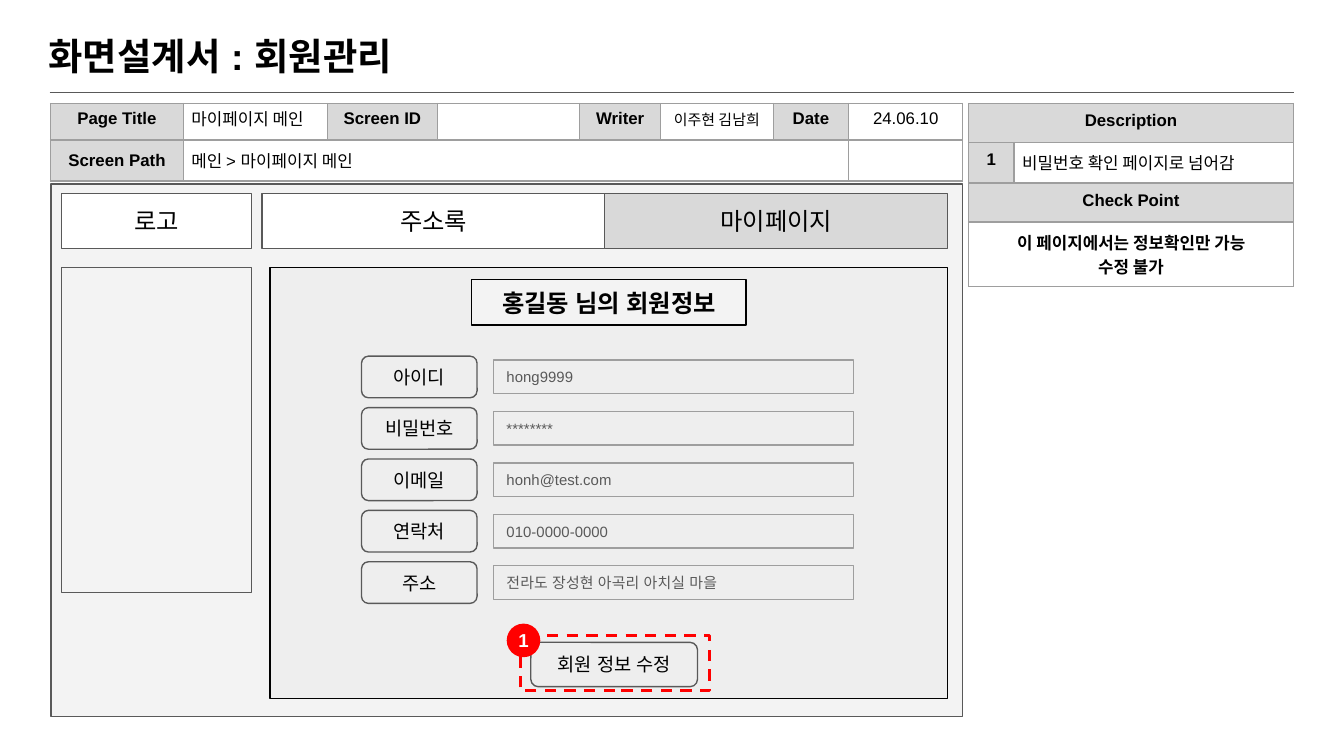
import pptx
import pptx.dml.color
import pptx.enum.dml
import pptx.enum.shapes
import pptx.enum.text
import pptx.oxml
import pptx.oxml.ns
import pptx.util

SHAPES = pptx.enum.shapes.MSO_SHAPE
ALIGN = pptx.enum.text.PP_ALIGN
ANCHOR = pptx.enum.text.MSO_ANCHOR
FONT = "Arial"
BLACK, WHITE, RED = "000000", "FFFFFF", "FF0000"
DARK, EDGE, HEAD = "595959", "9E9E9E", "D9D9D9"
PALE, PANEL = "F3F3F3", "EEEEEE"

# The slide is a grid of square cells, 100 columns by 56.25 rows
CELL = 0.1
COLUMNS, ROWS = 100, 56.25


def grid(*counts):
    return [pptx.util.Inches(count * CELL) for count in counts]


def colour(value):
    return pptx.dml.color.RGBColor.from_string(value)


def apply(target, values):
    for name, value in values.items():
        setattr(target, name, value)


def add_child(parent, tag, **attributes):
    child = pptx.oxml.parse_xml(f"<a:{tag} {pptx.oxml.ns.nsdecls('a')}/>")
    for name, value in attributes.items():
        child.set(name, str(value))
    parent.append(child)
    return child


def set_insets(target, across, down):
    apply(target, dict(zip(
        ("margin_left", "margin_right", "margin_top", "margin_bottom"),
        grid(across, across, down, down))))


def write(para, text, size, ink=BLACK, bold=False, asian=True, **form):
    apply(para, form)
    span = para.add_run()
    span.text = text
    apply(span.font, {"size": pptx.util.Pt(size), "bold": bold, "name": FONT})
    span.font.color.rgb = colour(ink)
    if asian:
        add_child(span._r.get_or_add_rPr(), "ea", typeface=FONT)


def add_title(page):
    title = page.shapes.title
    apply(title, dict(zip(("left", "top", "width", "height"),
                          grid(2.6, 1.5, 93.2, 6.3))))
    frame = title.text_frame
    apply(frame, {"vertical_anchor": ANCHOR.TOP, "word_wrap": True,
                  "auto_size": pptx.enum.text.MSO_AUTO_SIZE.NONE})
    set_insets(frame, 1, 1)
    write(frame.paragraphs[0], "화면설계서 : 회원관리", 20, bold=True,
          alignment=ALIGN.LEFT)


def add_rule(page):
    rule = page.shapes.add_connector(
        pptx.enum.shapes.MSO_CONNECTOR.STRAIGHT, *grid(3.7, 6.9, 96.3, 6.9))
    rule.line.color.rgb = colour(DARK)
    rule.line.width = pptx.util.Pt(0.75)
    add_child(rule._element.spPr, "effectLst")


def add_box(page, area, kind=SHAPES.RECTANGLE, fill=None, line=DARK, width=0.75,
            text=None, size=10, insets=(1, 1), dash=None, ink=BLACK, bold=False,
            **form):
    box = page.shapes.add_shape(kind, *grid(*area))
    box.shadow.inherit = False
    if fill:
        box.fill.solid()
        box.fill.fore_color.rgb = colour(fill)
    else:
        box.fill.background()
    if line:
        box.line.color.rgb = colour(line)
        apply(box.line, {"width": pptx.util.Pt(width), "dash_style": dash})
    else:
        box.line.fill.background()
    if text:
        frame = box.text_frame
        apply(frame, {"word_wrap": True, "vertical_anchor": ANCHOR.MIDDLE})
        set_insets(frame, *insets)
        write(frame.paragraphs[0], text, size, ink, bold,
              **{"alignment": ALIGN.CENTER, **form})


def add_grid_table(page, left, top, widths, heights):
    frame = page.shapes.add_table(len(heights), len(widths), *grid(
        left, top, sum(widths), sum(heights)))
    table = frame.table
    apply(table, {"first_row": False, "horz_banding": False})
    for column, width in zip(table.columns, grid(*widths)):
        column.width = width
    for row, height in zip(table.rows, grid(*heights)):
        row.height = height
    for cell in table.iter_cells():
        set_insets(cell, 0.6, 0.6)
        properties = cell._tc.get_or_add_tcPr()
        for side in ("lnL", "lnR", "lnT", "lnB"):
            border = add_child(properties, side, w=pptx.util.Pt(0.75))
            add_child(add_child(border, "solidFill"), "srgbClr", val=EDGE)
        cell.fill.background()
    return table


def fill_cell(cell, *lines, head=False, fill=None, size=9, bold=False,
              anchor=ANCHOR.TOP, **form):
    cell.vertical_anchor = anchor
    if head or fill:
        cell.fill.solid()
        cell.fill.fore_color.rgb = colour(fill or HEAD)
    frame = cell.text_frame
    for index, text in enumerate(lines):
        para = frame.add_paragraph() if index else frame.paragraphs[0]
        write(para, text, size, bold=head or bold, asian=False, **form)


def shrink_empty(cell, **form):
    """Keep a cell without text from stretching its row."""
    para = cell.text_frame.paragraphs[0]
    apply(para, form)
    add_child(para._p, "endParaRPr", sz=900)


def add_header_table(page):
    table = add_grid_table(page, 3.75, 7.7,
                           [9.9, 10.7, 8.2, 10.6, 6, 8.4, 5.6, 8.5], [2.55, 3.05])
    texts = ["Page Title", "마이페이지 메인", "Screen ID", None,
             "Writer", "이주현 김남희", "Date", "24.06.10"]
    for index, text in enumerate(texts):
        cell = table.cell(0, index)
        if text is None:
            shrink_empty(cell, line_spacing=0.5)
            continue
        fill_cell(cell, text, head=index % 2 == 0, size=8 if index == 5 else 9,
                  anchor=ANCHOR.MIDDLE, line_spacing=0.5,
                  alignment=ALIGN.LEFT if index == 1 else ALIGN.CENTER)
    table.cell(1, 1).merge(table.cell(1, 6))
    fill_cell(table.cell(1, 0), "Screen Path", head=True,
              anchor=ANCHOR.MIDDLE, alignment=ALIGN.CENTER)
    fill_cell(table.cell(1, 1), "메인 > 마이페이지 메인", anchor=ANCHOR.MIDDLE)
    for index in range(2, 8):
        shrink_empty(table.cell(1, index))


def add_description_table(page):
    table = add_grid_table(page, 72.05, 7.7, [3.4, 20.8], [2.9, 3, 2.9, 4.8])
    for row in (0, 2, 3):
        table.cell(row, 0).merge(table.cell(row, 1))
        shrink_empty(table.cell(row, 1))
    for row, text in enumerate(["Description", "1", "Check Point"]):
        fill_cell(table.cell(row, 0), text, head=True, alignment=ALIGN.CENTER)
    fill_cell(table.cell(1, 1), "비밀번호 확인 페이지로 넘어감")
    fill_cell(table.cell(3, 0), "이 페이지에서는 정보확인만 가능", "수정 불가",
              fill=WHITE, bold=True, alignment=ALIGN.CENTER)


def add_wireframe(page):
    # Panels
    add_box(page, (3.8, 13.7, 67.8, 39.6), fill=PALE)
    add_box(page, (20.1, 19.9, 50.4, 32.1), fill=PANEL, line=BLACK)
    add_box(page, (4.6, 19.9, 14.1, 24.2), fill=PALE)
    # Menu bar
    for left, width, text, fill in [(4.6, 14.1, "로고", WHITE),
                                    (45, 25.5, "마이페이지", HEAD),
                                    (19.5, 25.5, "주소록", WHITE)]:
        add_box(page, (left, 14.4, width, 4.1), fill=fill, text=text, size=13)
    add_box(page, (35.1, 20.8, 20.4, 3.4), fill=PALE, line=BLACK,
            text="홍길동 님의 회원정보", size=13, bold=True)


def add_member_form(page):
    fields = {"아이디": "hong9999", "비밀번호": "********",
              "이메일": "honh@test.com", "연락처": "010-0000-0000",
              "주소": "전라도 장성현 아곡리 아치실 마을"}
    first, last = 26.5, 41.8
    step = (last - first) / (len(fields) - 1)
    for index, (label, value) in enumerate(fields.items()):
        top = first + index * step
        add_box(page, (26.9, top, 8.6, 3.1), SHAPES.ROUNDED_RECTANGLE,
                fill=PANEL, text=label)
        add_box(page, (36.7, top + 0.3, 26.8, 2.5), line=EDGE, text=value,
                size=8, ink=DARK, insets=(1, 0.6), alignment=ALIGN.JUSTIFY,
                space_before=pptx.util.Pt(1), space_after=pptx.util.Pt(1))


def add_edit_button(page):
    add_box(page, (39.5, 47.8, 12.4, 3.3), SHAPES.ROUNDED_RECTANGLE,
            fill=PANEL, text="회원 정보 수정")
    add_box(page, (38.7, 47.3, 14.1, 4.1), line=RED, width=1.5,
            dash=pptx.enum.dml.MSO_LINE.DASH)
    add_box(page, (37.7, 46.4, 2.5, 2.5), SHAPES.OVAL, fill=RED, line=None,
            text="1", ink=WHITE, bold=True, insets=(0, 0))


def main():
    deck = pptx.Presentation()
    deck.slide_width, deck.slide_height = grid(COLUMNS, ROWS)
    page = deck.slides.add_slide(deck.slide_layouts[5])
    for add_part in (add_title, add_rule, add_header_table, add_description_table,
                     add_wireframe, add_member_form, add_edit_button):
        add_part(page)
    deck.save("out.pptx")


if __name__ == "__main__":
    main()
